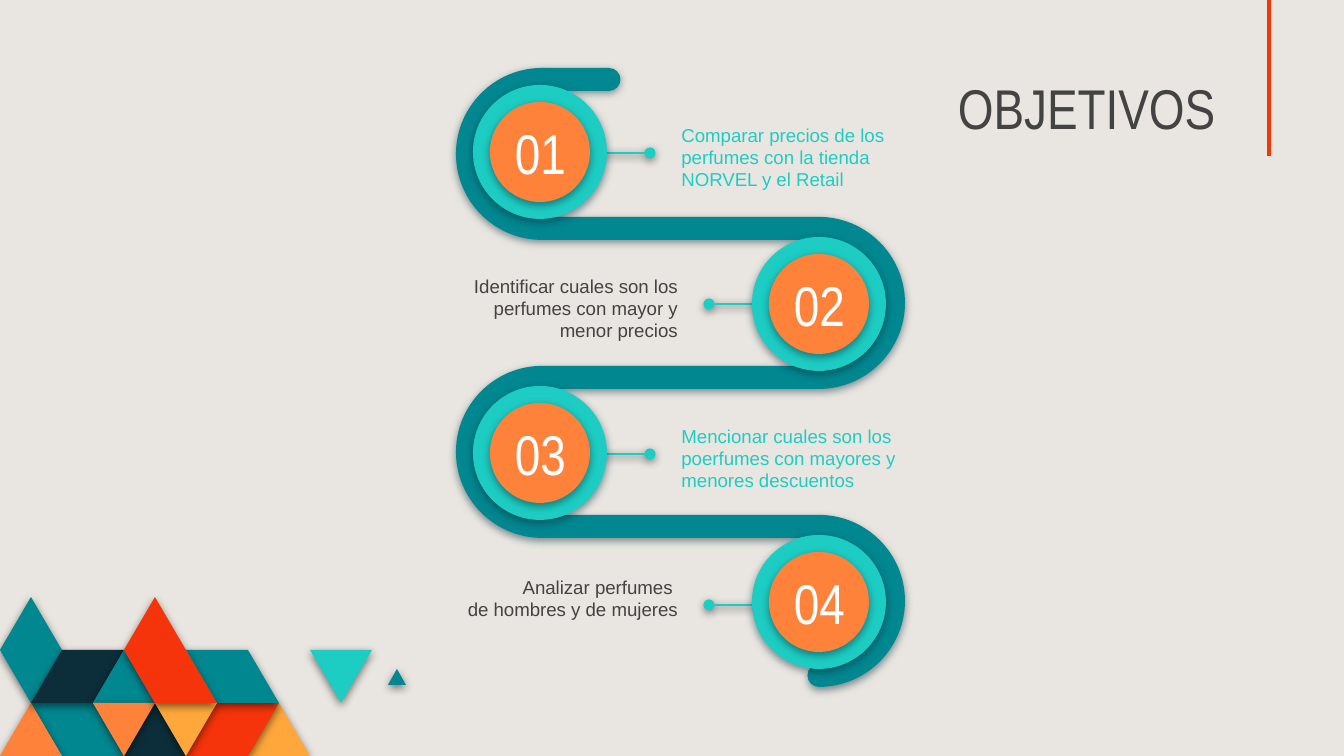
"""Build the goals slide: a winding path with four numbered stops."""
from lxml import etree
from pptx import Presentation
from pptx import util as u
from pptx.dml.color import RGBColor
from pptx.enum import shapes, text
from pptx.oxml import ns

SCALE = 914400 / 134.4
SAND = RGBColor(0xE9, 0xE6, 0xE1)
TEAL = RGBColor(0x01, 0x87, 0x90)
AQUA = RGBColor(0x1D, 0xCD, 0xC3)
NAVY = RGBColor(0x0C, 0x2E, 0x3A)
RED = RGBColor(0xF5, 0x34, 0x0B)
ORANGE = RGBColor(0xFF, 0x82, 0x3B)
GOLD = RGBColor(0xFF, 0xA7, 0x3B)
GREY = RGBColor(0x43, 0x43, 0x43)
WHITE = RGBColor(0xFF, 0xFF, 0xFF)
BLACK = RGBColor(0, 0, 0)

LEFT, RIGHT = 542, 819
OUTER, INNER = 86, 63
BAND = OUTER - INNER
TOP, STEP = 154, 149

TILES = [
    (GOLD, [(10, 3), (9, 2), (8, 3)]),
    (RED, [(9, 2), (7, 2), (6, 3), (8, 3)]),
    (TEAL, [(4, 3), (3, 2), (1, 2), (2, 3)]),
    (ORANGE, [(2, 3), (1, 2), (0, 3)]),
    (NAVY, [(6, 3), (5, 2), (4, 3)]),
    (TEAL, [(9, 2), (8, 1), (6, 1), (7, 2)]),
    (AQUA, [(12, 1), (10, 1), (11, 2)]),
    (TEAL, [(2, 1), (1, 0), (0, 1), (1, 2)]),
    (NAVY, [(4, 1), (2, 1), (1, 2), (3, 2)]),
    (TEAL, [(5, 2), (4, 1), (3, 2)]),
    (ORANGE, [(5, 2), (3, 2), (4, 3)]),
    (GOLD, [(7, 2), (5, 2), (6, 3)]),
    (RED, [(7, 2), (5, 0), (4, 1), (5, 2)]),
]

GOALS = [
    (540, 152, 153, 668, 249, "Comparar precios de los perfumes con la tienda NORVEL y el Retail"),
    (819, 304, 304, 437, 254, "Identificar cuales son los perfumes con mayor y menor precios"),
    (540, 453, 454, 668, 292, "Mencionar cuales son los poerfumes con mayores y menores descuentos"),
    (819, 602, 605, 360, 331, "Analizar perfumes \nde hombres y de mujeres"),
]


def px(size):
    """Turn px into EMU."""
    return u.Emu(round(size * SCALE))


def shade(shape, color=None):
    """Give a shape a soft drop shadow, or none without a color."""
    props = shape._element.spPr
    effect = etree.SubElement(props, ns.qn("a:effectLst"))
    if color is not None:
        drop = etree.SubElement(effect, ns.qn("a:outerShdw"), blurRad="57150",
                                dist="19050", dir="5400000", algn="bl", rotWithShape="0")
        tint = etree.SubElement(drop, ns.qn("a:srgbClr"), val=str(color))
        etree.SubElement(tint, ns.qn("a:alpha"), val="50000")


def paint(shape, color, shadow):
    """Fill a shape, drop its outline and set its shadow."""
    shape.fill.solid()
    shape.fill.fore_color.rgb = color
    shape.line.fill.background()
    shade(shape, shadow)


def draw(slide, steps, color, shadow):
    """Add a filled outline from steps that end in x, y and may start with two handles."""
    ends = [(px(step[-2]), px(step[-1])) for step in steps]
    maker = slide.shapes.build_freeform(*ends[0], scale=1.0)
    maker.add_line_segments(ends[1:], close=True)
    shape = maker.convert_to_shape()
    lines = list(shape._element.iter(ns.qn("a:lnTo")))
    for line, step in zip(lines, steps[1:]):
        if len(step) == 6:
            line.tag = ns.qn("a:cubicBezTo")
            for spot in (0, 1):
                x, y = step[2 * spot:2 * spot + 2]
                knob = etree.Element(ns.qn("a:pt"), x=str(px(x) - shape.left),
                                     y=str(px(y) - shape.top))
                line.insert(spot, knob)
    paint(shape, color, shadow)


def disc(slide, x, y, size, color):
    """Add a disc centred on a point."""
    shape = slide.shapes.add_shape(shapes.MSO_SHAPE.OVAL, px(x - size / 2),
                                   px(y - size / 2), px(size), px(size))
    paint(shape, color, NAVY)


def rule(slide, start, end, color, width, dot=False):
    """Add a straight line, with a shadow and a dot at its start on request."""
    line = slide.shapes.add_connector(shapes.MSO_CONNECTOR.STRAIGHT,
                                      *map(px, start + end))
    line.line.color.rgb = color
    line.line.width = u.Pt(width)
    if dot:
        etree.SubElement(line.line._ln, ns.qn("a:headEnd"), type="oval")
    shade(line, BLACK if dot else None)


def write(shape, words, box, size=10, font="Arial", color=GREY,
          align=text.PP_ALIGN.LEFT, anchor=text.MSO_ANCHOR.TOP):
    """Place a text shape and set its words and format."""
    shape.left, shape.top, shape.width, shape.height = map(px, box)
    frame = shape.text_frame
    frame.word_wrap = True
    frame.auto_size = text.MSO_AUTO_SIZE.NONE
    frame.vertical_anchor = anchor
    frame.margin_left = frame.margin_right = u.Inches(0.1)
    frame.margin_top = frame.margin_bottom = u.Inches(0.1)
    para = frame.paragraphs[0]
    para.text = words
    para.alignment = align
    para.space_before = u.Pt(0)
    props = para._p.get_or_add_pPr()
    props.set("marL", "0")
    props.set("indent", "0")
    etree.SubElement(props, ns.qn("a:buNone"))
    for run in para.runs:
        run.font.size = u.Pt(size)
        run.font.name = font
        run.font.bold = False
        run.font.color.rgb = color
    for gap in para._p.findall(ns.qn("a:br")):
        etree.SubElement(gap, ns.qn("a:rPr"), sz=str(size * 100))


def arc(x, y, r, side, way):
    """Return a half circle that bulges to a side and runs down or up."""
    k = 0.55 * r
    far, rise = x + side * r, way * r
    return [(x, y - rise),
            (x + side * k, y - rise, far, y - way * k, far, y),
            (far, y + way * k, x + side * k, y + rise, x, y + rise)]


def bends(way):
    """Return one edge of the winding path."""
    steps = []
    for row in range(4)[::way]:
        odd = row % 2
        wide = (odd == 0) == (way == 1)
        steps += arc(RIGHT if odd else LEFT, TOP + row * STEP,
                     OUTER if wide else INNER, 1 if odd else -1, way)
    return steps


def ribbon(slide):
    """Add the winding path with its round ends."""
    mid = (OUTER + INNER) / 2
    foot = arc(RIGHT, TOP + 3 * STEP + mid, BAND / 2, -1, 1)
    head = arc(609, TOP - mid, BAND / 2, 1, -1)
    head[0] = (609, TOP - INNER)
    draw(slide, bends(1) + foot[1:] + bends(-1)[1:] + head, TEAL, NAVY)


def tiles(slide):
    """Add the corner pattern on its grid."""
    for color, cells in TILES:
        draw(slide, [(31 * col, 597 + 53 * row) for col, row in cells], color, BLACK)
    draw(slide, [(406, 685), (397, 669), (388, 685)], TEAL, BLACK)


def stops(slide):
    """Add the numbered stops and their goals."""
    for row, (x, y, mark, left, width, words) in enumerate(GOALS):
        odd = row % 2
        disc(slide, x, y, 134, AQUA)
        disc(slide, x, y, 100, ORANGE)
        label = slide.shapes.add_textbox(0, 0, 0, 0)
        write(label, f"{row + 1:02d}", (x - 43, y - 42, 87, 85), size=30,
              font="Arial Narrow", color=WHITE, align=text.PP_ALIGN.CENTER,
              anchor=text.MSO_ANCHOR.MIDDLE)
        write(slide.placeholders[row + 1], words, (left, mark - 43, width, 85),
              color=GREY if odd else AQUA,
              align=text.PP_ALIGN.RIGHT if odd else text.PP_ALIGN.LEFT)


def main():
    """Build and save the slide."""
    deck = Presentation()
    deck.slide_width, deck.slide_height = px(1344), px(756)
    slide = deck.slides.add_slide(deck.slide_layouts[4])
    slide.background.fill.solid()
    slide.background.fill.fore_color.rgb = SAND
    tiles(slide)
    rule(slide, (1269, 0), (1269, 156), RED, 2.25)
    write(slide.shapes.title, "OBJETIVOS", (673, 69, 556, 85), size=30,
          font="Arial Narrow", align=text.PP_ALIGN.RIGHT,
          anchor=text.MSO_ANCHOR.BOTTOM)
    for row, goal in enumerate(GOALS):
        start, end = (709, 775) if row % 2 else (650, 585)
        rule(slide, (start, goal[2]), (end, goal[2]), AQUA, 1.5, dot=True)
    ribbon(slide)
    stops(slide)
    deck.save("out.pptx")


if __name__ == "__main__":
    main()
